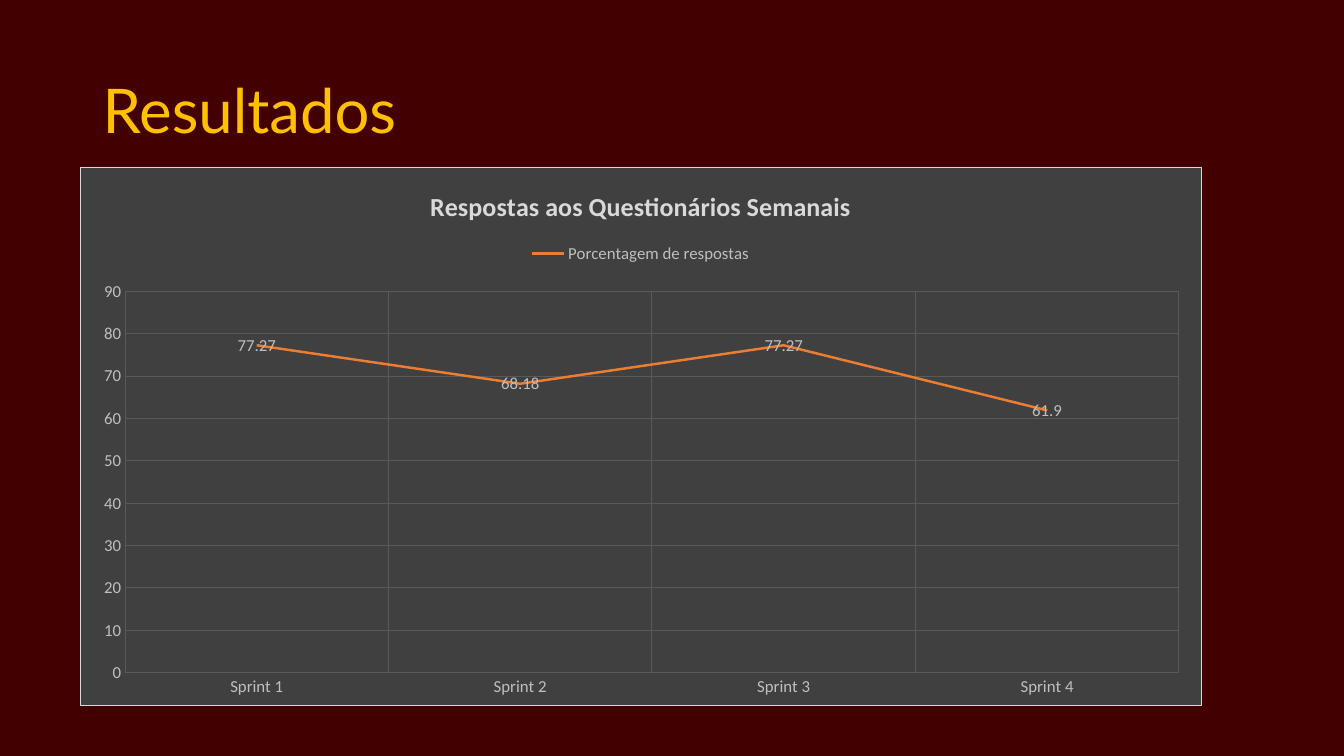
from dataclasses import dataclass

from lxml import etree
from pptx import Presentation, util as u
from pptx.chart.data import CategoryChartData
from pptx.dml.color import RGBColor
from pptx.enum import chart as ce, text as te
from pptx.oxml import parse_xml
from pptx.oxml.ns import nsdecls, qn


@dataclass(frozen=True)
class Theme:
    back: str = "420000"
    gold: str = "FFC000"
    panel: str = "404040"
    grid: str = "595959"
    edge: str = "D9D9D9"
    label: str = "BFBFBF"
    line: str = "ED7D31"
    head_face: str = "Lato"
    face: str = "Calibri"
    head_size: float = 44
    title_size: float = 18.6
    size: float = 12


@dataclass(frozen=True)
class Box:
    left: float
    top: float
    width: float
    height: float


THEME = Theme()
HEAD = Box(0.92, 0.4, 11.5, 1.45)
CHART = Box(0.79, 1.66, 11.13, 5.34)
# Share of the chart area taken by the plot
PLOT = Box(0.04, 0.23, 0.94, 0.71)
SPRINTS = [f"Sprint {n}" for n in range(1, 5)]
SHARES = [77.27, 68.18, 77.27, 61.9]


def inches(box: Box) -> list:
    return [u.Inches(v) for v in (box.left, box.top, box.width, box.height)]


def style(font, color: str, size: float, face: str, bold: bool = False) -> None:
    font.name, font.size, font.bold = face, u.Pt(size), bold
    font.color.rgb = RGBColor.from_string(color)


def place(node, box: Box) -> None:
    """Fix the inner plot area as shares of the chart."""
    old = node.find(qn("c:layout"))
    if old is not None:
        node.remove(old)
    layout = etree.Element(qn("c:layout"))
    manual = etree.SubElement(layout, qn("c:manualLayout"))
    parts = [("layoutTarget", "inner"), ("xMode", "edge"), ("yMode", "edge"),
             ("x", box.left), ("y", box.top), ("w", box.width), ("h", box.height)]
    for tag, val in parts:
        etree.SubElement(manual, qn(f"c:{tag}")).set("val", str(val))
    node.insert(0, layout)


def fill_panel(chart) -> None:
    """Give the chart area its fill and border."""
    panel = parse_xml(
        f'<c:spPr {nsdecls("c", "a")}>'
        f'<a:solidFill><a:srgbClr val="{THEME.panel}"/></a:solidFill>'
        f'<a:ln w="{u.Pt(0.75)}"><a:solidFill><a:srgbClr val="{THEME.edge}"/>'
        '</a:solidFill></a:ln></c:spPr>')
    chart.element.find(qn("c:chart")).addnext(panel)


def style_axis(axis) -> None:
    axis.major_tick_mark = axis.minor_tick_mark = ce.XL_TICK_MARK.NONE
    axis.format.line.fill.background()
    axis.has_major_gridlines = True
    grid = axis.major_gridlines.format.line
    grid.width = u.Pt(0.75)
    grid.color.rgb = RGBColor.from_string(THEME.grid)
    style(axis.tick_labels.font, THEME.label, THEME.size, THEME.face)


def add_head(slide) -> None:
    frame = slide.shapes.add_textbox(*inches(HEAD)).text_frame
    frame.word_wrap = True
    frame.vertical_anchor = te.MSO_ANCHOR.MIDDLE
    frame.text = "Resultados"
    para = frame.paragraphs[0]
    para.line_spacing = 0.9
    style(para.runs[0].font, THEME.gold, THEME.head_size, THEME.head_face)


def add_chart(slide) -> None:
    data = CategoryChartData()
    data.categories = SPRINTS
    data.add_series("Porcentagem de respostas", SHARES)
    chart = slide.shapes.add_chart(
        ce.XL_CHART_TYPE.LINE_STACKED, *inches(CHART), data).chart
    style(chart.font, THEME.label, THEME.size, THEME.face)
    fill_panel(chart)

    # Title and legend
    chart.has_title = True
    title = chart.chart_title
    title.include_in_layout = False
    title.text_frame.text = "Respostas aos Questionários Semanais"
    style(title.text_frame.paragraphs[0].runs[0].font, THEME.edge,
          THEME.title_size, THEME.face, bold=True)
    chart.has_legend = True
    chart.legend.position = ce.XL_LEGEND_POSITION.TOP
    chart.legend.include_in_layout = False
    style(chart.legend.font, THEME.label, THEME.size, THEME.face)

    # Axes
    for axis in (chart.category_axis, chart.value_axis):
        style_axis(axis)
    scale = chart.value_axis
    scale.minimum_scale, scale.maximum_scale, scale.major_unit = 0, 90, 10

    # Line and its labels
    plot = chart.plots[0]
    plot.vary_by_categories = False
    series = plot.series[0]
    series.smooth = False
    series.marker.style = ce.XL_MARKER_STYLE.NONE
    series.format.line.width = u.Pt(1.75)
    series.format.line.color.rgb = RGBColor.from_string(THEME.line)
    labels = series.data_labels
    labels.show_value = True
    labels.position = ce.XL_LABEL_POSITION.CENTER
    style(labels.font, THEME.label, THEME.size, THEME.face)
    place(chart.element.find(".//" + qn("c:plotArea")), PLOT)


def main() -> None:
    deck = Presentation()
    deck.slide_width, deck.slide_height = u.Inches(13.33), u.Inches(7.5)
    slide = deck.slides.add_slide(deck.slide_layouts[6])
    back = slide.background.fill
    back.solid()
    back.fore_color.rgb = RGBColor.from_string(THEME.back)
    add_head(slide)
    add_chart(slide)
    deck.save("out.pptx")


if __name__ == "__main__":
    main()
